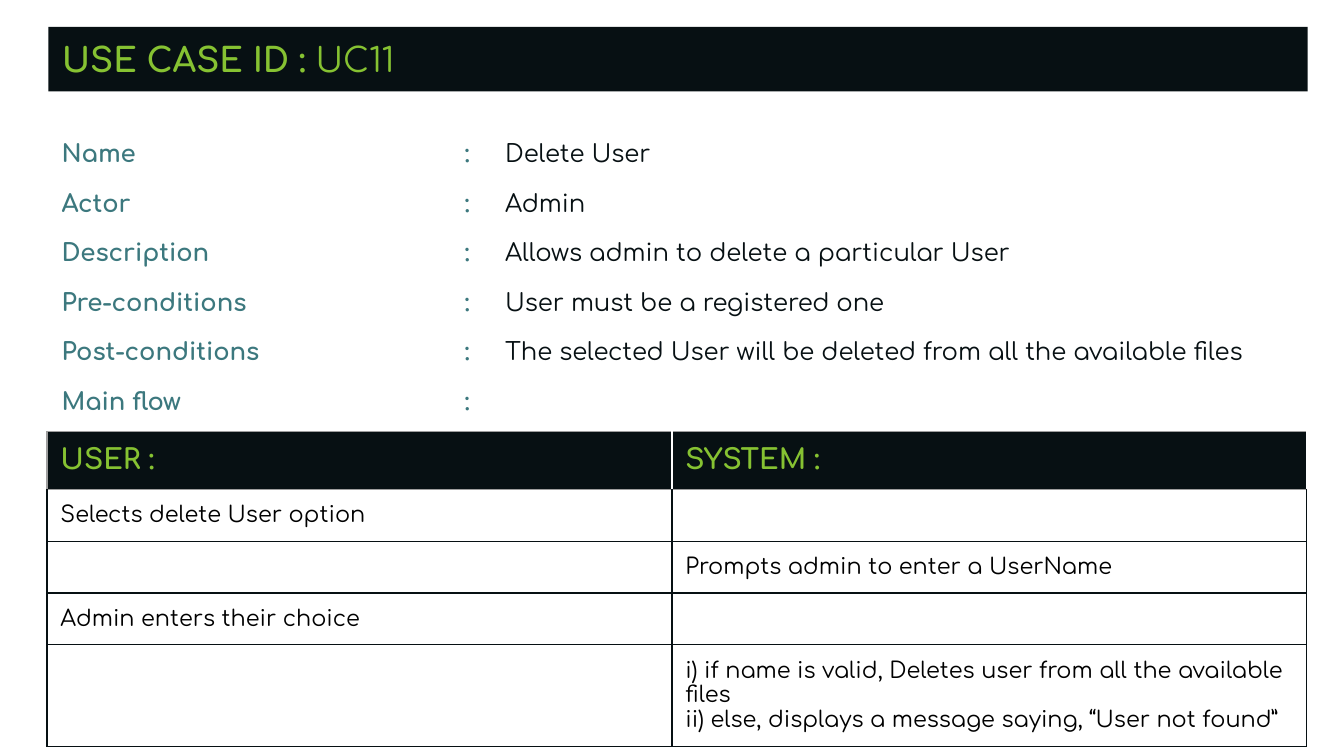
import pptx
import pptx.util
import pptx.dml.color
import pptx.enum.text
import pptx.oxml.ns
from lxml import etree

Inches = pptx.util.Inches
Pt = pptx.util.Pt
RGBColor = pptx.dml.color.RGBColor
qn = pptx.oxml.ns.qn

INK = RGBColor(0x07, 0x10, 0x13)
GREEN = RGBColor(0x86, 0xC2, 0x32)
TEAL = RGBColor(0x3C, 0x78, 0x7E)
BLACK = RGBColor(0, 0, 0)
GREY = RGBColor(0x9E, 0x9E, 0x9E)
WHITE = RGBColor(0xFF, 0xFF, 0xFF)
FONT = "Comfortaa"


def style(r, size, color, bold=False):
    r.font.name = FONT
    r.font.size = Pt(size)
    r.font.bold = bold
    r.font.color.rgb = color


def set_borders(cell, **colors):
    tcPr = cell._tc.get_or_add_tcPr()
    for i, side in enumerate("LRTB"):
        ln = etree.Element(qn("a:ln" + side), w=str(Pt(0.75)))
        fill = etree.SubElement(ln, qn("a:solidFill"))
        etree.SubElement(fill, qn("a:srgbClr"), val=str(colors[side]))
        tcPr.insert(i, ln)


# 16:9 slide
prs = pptx.Presentation()
prs.slide_width = Inches(10)
prs.slide_height = Inches(10) * 9 // 16
s = prs.slides.add_slide(prs.slide_layouts[5])

# Title bar and details box share the same insets
title = s.shapes.title
title.left, title.top = Inches(0.36), Inches(0.2)
title.width, title.height = Inches(9.37), Inches(0.48)
details = s.shapes.add_textbox(Inches(0.36), Inches(0.78), Inches(9.28), Inches(2.33))
for sp in (title, details):
    tf = sp.text_frame
    tf.word_wrap = True
    tf.auto_size = pptx.enum.text.MSO_AUTO_SIZE.NONE
    tf.margin_left = tf.margin_right = Inches(0.1)
    tf.margin_top = tf.margin_bottom = Inches(0.1)

# Title
title.fill.solid()
title.fill.fore_color.rgb = INK
title.text_frame.vertical_anchor = pptx.enum.text.MSO_ANCHOR.MIDDLE
p = title.text_frame.paragraphs[0]
p.alignment = pptx.enum.text.PP_ALIGN.LEFT
for text, bold in [("USE CASE ID : ", True), ("UC11", False)]:
    r = p.add_run()
    r.text = text
    style(r, 18, GREEN, bold)

# Use case details, with tab stops for the colon and the value
fields = [
    ("Name", "Delete User"),
    ("Actor", "Admin"),
    ("Description", "Allows admin to delete a particular User"),
    ("Pre-conditions", "User must be a registered one"),
    ("Post-conditions", "The selected User will be deleted from all the available files"),
    ("Main flow", ""),
]
tf = details.text_frame
for i, (label, value) in enumerate(fields):
    p = tf.paragraphs[0] if i == 0 else tf.add_paragraph()
    p.line_spacing = 1.7
    tabs = etree.SubElement(p._p.get_or_add_pPr(), qn("a:tabLst"))
    for stop in (3, 3.3):
        etree.SubElement(tabs, qn("a:tab"), pos=str(Inches(stop)), algn="l")
    r = p.add_run()
    r.text = label + "\t:"
    style(r, 13, TEAL, True)
    if value:
        r.text += "\t"
        r = p.add_run()
        r.text = value
        style(r, 13, INK)

# Main flow table
rows = [
    ("USER :", "SYSTEM :"),
    ("Selects delete User option", ""),
    ("", "Prompts admin to enter a UserName"),
    ("Admin enters their choice", ""),
    ("", "i) if name is valid, Deletes user from all the available files\n"
         "ii) else, displays a message saying, “User not found”"),
]
heights = [0.42, 0.38, 0.38, 0.38, 0.75]
table = s.shapes.add_table(len(rows), 2, Inches(0.35), Inches(3.21),
                           Inches(9.37), Inches(sum(heights))).table
table.horz_banding = False
for col, width in zip(table.columns, (4.65, 4.72)):
    col.width = Inches(width)
for i, texts in enumerate(rows):
    table.rows[i].height = Inches(heights[i])
    header = i == 0
    for j, text in enumerate(texts):
        cell = table.cell(i, j)
        cell.margin_left = cell.margin_right = Inches(0.1)
        cell.margin_top = cell.margin_bottom = Inches(0.1)
        if header:
            cell.fill.solid()
            cell.fill.fore_color.rgb = INK
            set_borders(cell, L=WHITE if j else GREY, R=WHITE, T=GREY, B=GREY)
        else:
            cell.fill.background()
            set_borders(cell, L=INK, R=INK, T=GREY if i == 1 else INK, B=INK)
        cell.text_frame.text = text
        for p in cell.text_frame.paragraphs:
            for r in p.runs:
                style(r, 15 if header else 12, GREEN if header else BLACK, header)
            if not text:
                end = etree.SubElement(p._p, qn("a:endParaRPr"), sz=str(Pt(12).centipoints))
                etree.SubElement(end, qn("a:latin"), typeface=FONT)

prs.save("out.pptx")
